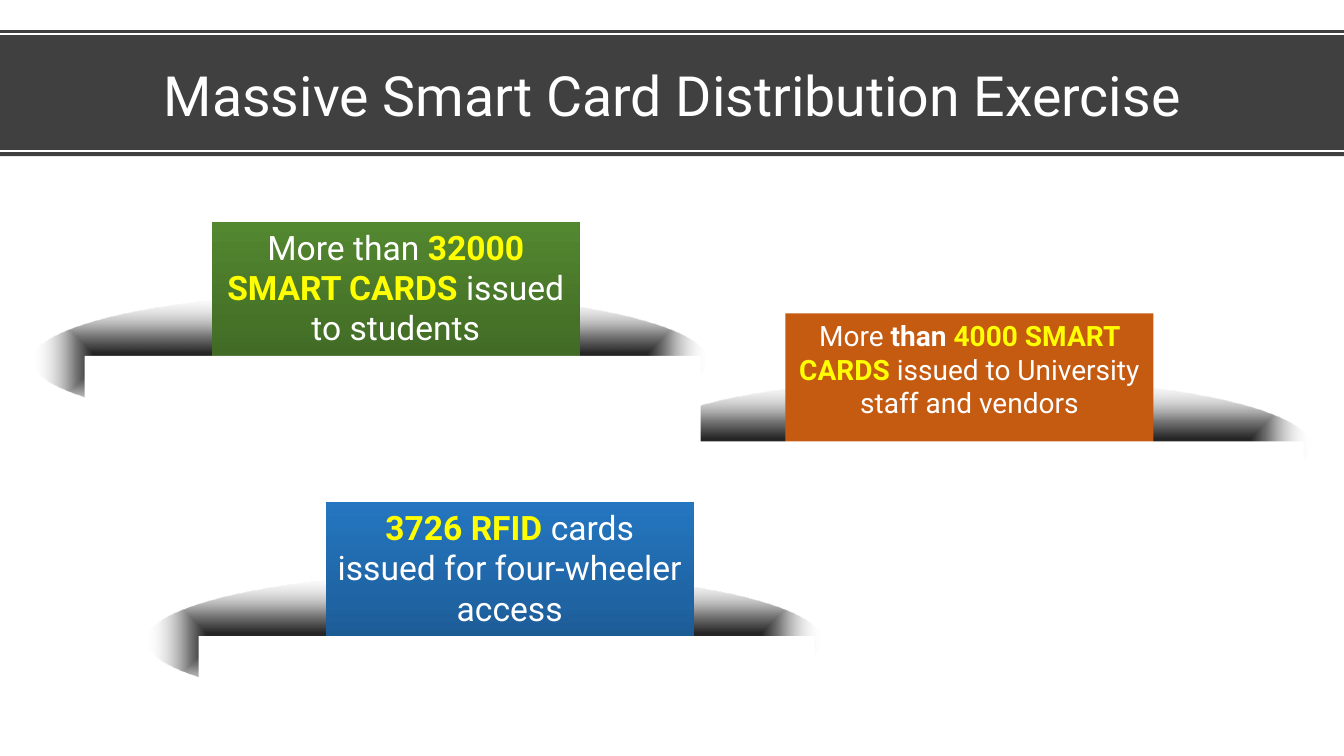
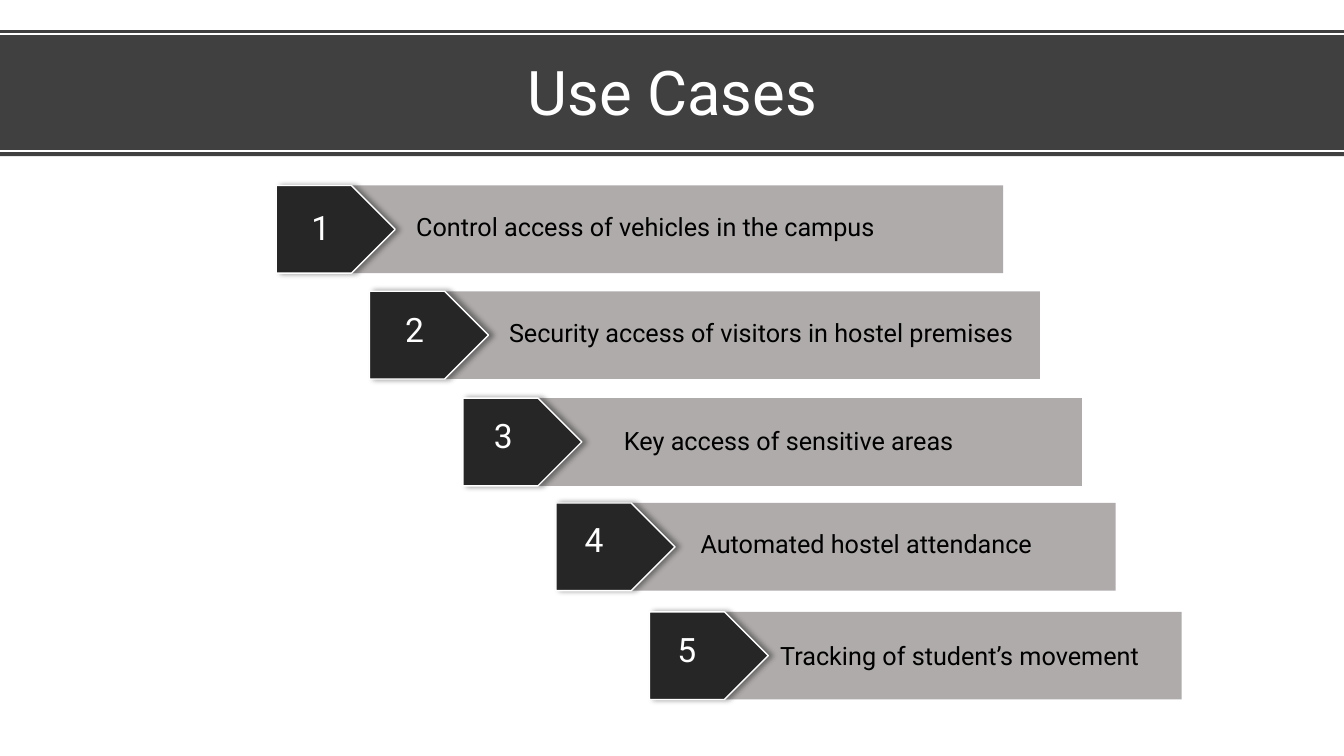
from dataclasses import dataclass

from lxml import etree
from pptx import Presentation
from pptx.dml.color import RGBColor
from pptx.enum.shapes import MSO_CONNECTOR, MSO_SHAPE
from pptx.enum.text import MSO_ANCHOR, MSO_AUTO_SIZE, PP_ALIGN
from pptx.oxml import parse_xml
from pptx.oxml.ns import nsdecls, qn
from pptx.util import Inches, Pt

RECT, OVAL, ARROW = MSO_SHAPE.RECTANGLE, MSO_SHAPE.OVAL, MSO_SHAPE.PENTAGON
LINE = MSO_CONNECTOR.STRAIGHT
TOP, MIDDLE = MSO_ANCHOR.TOP, MSO_ANCHOR.MIDDLE
CENTER, LEFT = PP_ALIGN.CENTER, PP_ALIGN.LEFT
GROW, FIXED = MSO_AUTO_SIZE.SHAPE_TO_FIT_TEXT, MSO_AUTO_SIZE.NONE


@dataclass(frozen=True)
class Theme:
    """Hold the colours and type sizes of the deck."""

    font: str = "Roboto"
    white: str = "FFFFFF"
    black: str = "000000"
    band: str = "404040"
    mark: str = "FFFF00"
    bar: str = "AFABAB"
    tag: str = "262626"
    orange: str = "C55A11"
    green: tuple = ((0, "31501C", 100), (50, "467228", 100), (100, "538730", 100))
    blue: tuple = ((0, "164672", 100), (50, "1F63A2", 100), (100, "2476C0", 100))
    halo: tuple = ((11, "262626", 100), (37, "262626", 61), (100, "FFFFFF", 0))
    large: float = 24
    medium: float = 20
    label: float = 18


THEME = Theme()
WIDE, HIGH = 13.33, 7.5
RISE = '<a:lin ang="16200000" scaled="0"/>'
GLOW = (
    '<a:path path="shape">'
    '<a:fillToRect l="50000" t="50000" r="50000" b="50000"/></a:path>'
)

CARDS = (
    (
        (0.32, 2.9, 1.78, -0.7, THEME.green, THEME.large, (
            ("More than ", THEME.white, False),
            ("32000 SMART CARDS ", THEME.mark, True),
            ("issued to students", THEME.white, False))),
        (6.3, 3.75, 1.49, -0.64, THEME.orange, THEME.medium, (
            ("More ", THEME.white, False),
            ("than ", THEME.white, True),
            ("4000 SMART CARDS ", THEME.mark, True),
            ("issued to University staff and vendors", THEME.white, False))),
    ),
    (
        (1.45, 5.68, 1.78, -0.7, THEME.blue, THEME.large, (
            ("3726 RFID ", THEME.mark, True),
            ("cards issued for four-wheeler access", THEME.white, False))),
    ),
)

CASES = (
    ("Control access of vehicles in the campus",
     1.84, 6.5, (3.78, 2.05, 5.2), 0.25, (2.99, 2.0)),
    ("Security access of visitors in hostel premises",
     2.89, 5.94, (4.7, 3.1, 5.78), 0.25, (3.92, 3.02)),
    ("Key access of sensitive areas",
     3.95, 5.43, (5.84, 4.17, 4.34), 0.25, (4.8, 4.07)),
    ("Automated hostel attendance",
     4.99, 4.84, (6.85, 5.19, 3.87), 0, (5.7, 5.1)),
    ("Tracking of student’s movement",
     6.07, 4.57, (7.39, 6.3, 4.44), 0.25, (6.62, 6.19)),
)


def box(*sides):
    """Turn a row of numbers into lengths."""
    return [Inches(side) for side in sides]


def tint(fill, color):
    """Give a fill one solid colour."""
    fill.solid()
    fill.fore_color.rgb = RGBColor.from_string(color)


def blend(shape, stops, tail):
    """Fill a shape with a gradient."""
    marks = "".join(
        f'<a:gs pos="{pos * 1000}"><a:srgbClr val="{color}">'
        f'<a:alpha val="{alpha * 1000}"/></a:srgbClr></a:gs>'
        for pos, color, alpha in stops
    )
    shape.fill.background()
    props = shape.element.spPr
    props.replace(props.find(qn("a:noFill")), parse_xml(
        f'<a:gradFill {nsdecls("a")} rotWithShape="1">'
        f"<a:gsLst>{marks}</a:gsLst>{tail}</a:gradFill>"))


def block(shapes, kind, sides, fill, tail=RISE):
    """Add a preset shape without outline or shadow."""
    shape = shapes.add_shape(kind, *box(*sides))
    shape.shadow.inherit = False
    shape.line.fill.background()
    if isinstance(fill, str):
        tint(shape.fill, fill)
    else:
        blend(shape, fill, tail)
    return shape


def style(run, size, color, bold=None):
    """Format one run."""
    run.font.name = THEME.font
    run.font.size = Pt(size)
    run.font.bold = bold
    run.font.color.rgb = RGBColor.from_string(color)


def label(shapes, text, sides, size, color, wrap=True, indent=0):
    """Add a one-line text box."""
    frame = shapes.add_textbox(*box(*sides)).text_frame
    frame.word_wrap = wrap
    frame.auto_size = GROW
    frame.text = text
    par = frame.paragraphs[0]
    par.alignment = LEFT
    if indent:
        par.level = 1
        props = par._p.get_or_add_pPr()
        props.set("marL", str(Inches(indent)))
        props.set("indent", "0")
    style(par.runs[0], size, color)


def band(slide):
    """Draw the dark title band with its two white lines."""
    shapes = slide.shapes.add_group_shape().shapes
    block(shapes, RECT, (0, 0.3, WIDE, 1.25), THEME.band)
    for y in (0.34, 1.5):
        line = shapes.add_connector(LINE, *box(0, y, WIDE, y))
        line.line.width = Pt(1.25)
        tint(line.line.fill, THEME.white)
        etree.SubElement(line.element.spPr, qn("a:effectLst"))


def head(slide, text, size, height):
    """Place the title in front of the band."""
    title = slide.shapes.title
    slide.shapes.element.append(title.element)
    title.left, title.top, title.width, title.height = box(0.92, 0.4, 11.5, height)
    frame = title.text_frame
    frame.text = text
    frame.auto_size = FIXED
    frame.vertical_anchor = MIDDLE
    par = frame.paragraphs[0]
    par.alignment = CENTER
    par.line_spacing = 0.9
    style(par.runs[0], size, THEME.white)


def card(shapes, x, y, dx, dy, fill, size, parts):
    """Draw a text card and the white mask that cuts its halo."""
    shape = block(shapes, RECT, (x + dx, y + dy, 3.65, 2.05), fill)
    frame = shape.text_frame
    frame.word_wrap = True
    frame.vertical_anchor = TOP
    par = frame.paragraphs[0]
    par.alignment = CENTER
    for text, color, bold in parts:
        run = par.add_run()
        run.text = text
        style(run, size, color, bold)
    floor = y + 0.63
    block(shapes, RECT, (x + 0.52, floor, 6.11, min(2.65, HIGH - floor)), THEME.white)


def tag(shapes, x, y):
    """Draw a dark arrow tag with a soft shadow."""
    shape = block(shapes, ARROW, (x, y, 1.18, 0.87), THEME.tag)
    tint(shape.line.fill, THEME.white)
    shape.line.width = Pt(1)
    glow = shape.element.spPr.find(qn("a:effectLst"))
    glow.append(parse_xml(
        f'<a:outerShdw {nsdecls("a")} blurRad="{Pt(4)}" dist="{Pt(3)}" dir="0" '
        f'algn="l" rotWithShape="0"><a:srgbClr val="{THEME.black}">'
        '<a:alpha val="40000"/></a:srgbClr></a:outerShdw>'))


def issue(slide):
    """Build the card count slide."""
    band(slide)
    head(slide, "Massive Smart Card Distribution Exercise", 39.6, 1.15)
    for row in CARDS:
        for x, y, *_ in row:
            block(slide.shapes, OVAL, (x, y, 6.7, 1.35), THEME.halo, GLOW)
        for item in row:
            card(slide.shapes, *item)


def usage(slide):
    """Build the stair of use cases."""
    band(slide)
    start, step = 2.74, 0.925
    for index, (text, y, width, place, indent, _) in enumerate(CASES):
        shapes = slide.shapes.add_group_shape().shapes
        x = start + step * index + 0.71
        block(shapes, RECT, (x, y, width, 0.87), THEME.bar)
        label(shapes, text, (*place, 0.4), THEME.label, THEME.black, indent=indent)
    head(slide, "Use Cases", 44, 1.1)
    for index, (_, y, _, _, _, spot) in enumerate(CASES):
        tag(slide.shapes, start + step * index, y)
        label(slide.shapes, str(index + 1), (*spot, 0.38, 0.5),
              THEME.large, THEME.white, wrap=False)


def main():
    """Build and save the deck."""
    deck = Presentation()
    deck.slide_width, deck.slide_height = box(WIDE, HIGH)
    for build in (issue, usage):
        build(deck.slides.add_slide(deck.slide_layouts[5]))
    deck.save("out.pptx")


if __name__ == "__main__":
    main()
